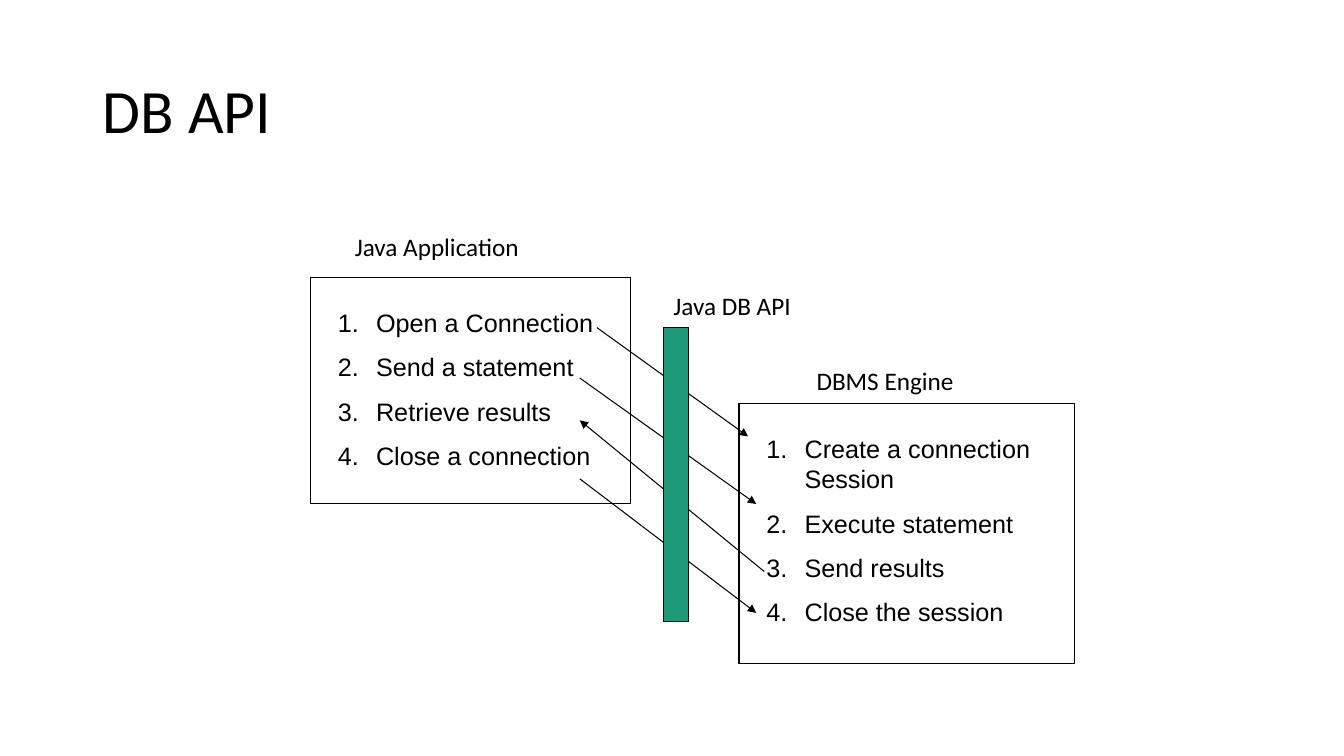
from dataclasses import dataclass

from lxml.etree import SubElement
from pptx import Presentation
from pptx.dml.color import RGBColor
from pptx.enum.shapes import MSO_CONNECTOR, MSO_SHAPE
from pptx.enum.text import MSO_ANCHOR, MSO_AUTO_SIZE, PP_ALIGN
from pptx.oxml.ns import qn
from pptx.util import Inches, Pt

BLACK = "000000"
WHITE = "FFFFFF"
GREEN = "1D9A78"
LINE_WIDTH = Pt(0.75)


@dataclass
class Area:
    left: float
    top: float
    width: float
    height: float

    def lengths(self) -> list:
        return [Inches(value) for value in (self.left, self.top, self.width, self.height)]


@dataclass
class StepPanel:
    box: Area
    text: Area
    steps: list[str]


@dataclass
class Label:
    text: str
    area: Area


@dataclass
class Arrow:
    start: tuple[float, float]
    end: tuple[float, float]


PANELS = [
    StepPanel(
        Area(3.08, 2.75, 3.17, 2.25),
        Area(3.25, 3, 2.75, 1.76),
        ["Open a Connection", "Send a statement", "Retrieve results", "Close a connection"],
    ),
    StepPanel(
        Area(7.33, 4, 3.33, 2.58),
        Area(7.5, 4.25, 2.83, 2.06),
        ["Create a connection Session", "Execute statement", "Send results", "Close the session"],
    ),
]
ARROWS = [
    Arrow((5.92, 3.25), (7.42, 4.33)),
    Arrow((5.75, 3.75), (7.5, 5)),
    Arrow((7.58, 5.67), (5.75, 4.17)),
    Arrow((5.75, 4.75), (7.5, 6.08)),
]
LABELS = [
    Label("Java Application", Area(3.42, 2.25, 2.42, 0.4)),
    Label("DBMS Engine", Area(8, 3.58, 1.58, 0.4)),
    Label("Java DB API", Area(6.58, 2.83, 1.75, 0.4)),
]
API_BAR = Area(6.58, 3.25, 0.25, 2.92)


def color(value: str) -> RGBColor:
    return RGBColor.from_string(value)


def place(shape, area: Area) -> None:
    shape.left, shape.top, shape.width, shape.height = area.lengths()


def format_paragraph(paragraph, font_name: str, size: float) -> None:
    paragraph.alignment = PP_ALIGN.LEFT
    paragraph.space_before = Pt(0)
    paragraph.font.name = font_name
    paragraph.font.size = Pt(size)
    paragraph.font.color.rgb = color(BLACK)


def add_box(slide, area: Area, fill: str) -> None:
    shape = slide.shapes.add_shape(MSO_SHAPE.RECTANGLE, *area.lengths())
    shape.shadow.inherit = False
    shape.fill.solid()
    shape.fill.fore_color.rgb = color(fill)
    shape.line.color.rgb = color(BLACK)
    shape.line.width = LINE_WIDTH


def fill_steps(placeholder, panel: StepPanel) -> None:
    place(placeholder, panel.text)
    frame = placeholder.text_frame
    frame.auto_size = MSO_AUTO_SIZE.NONE
    frame.text = "\n".join(panel.steps)
    for paragraph in frame.paragraphs:
        format_paragraph(paragraph, "Arial", 18)
        paragraph.space_after = Pt(10)
        properties = paragraph._p.get_or_add_pPr()
        properties.set("marL", str(Inches(0.38)))
        properties.set("indent", str(Inches(-0.38)))
        # Number in the same font as the step
        SubElement(properties, qn("a:buFont"), typeface="Arial")
        SubElement(properties, qn("a:buAutoNum"), type="arabicPeriod")
        # Default run properties come last in the schema
        properties.append(properties.find(qn("a:defRPr")))


def add_arrow(slide, arrow: Arrow) -> None:
    ends = [Inches(value) for value in (*arrow.start, *arrow.end)]
    connector = slide.shapes.add_connector(MSO_CONNECTOR.STRAIGHT, *ends)
    connector.line.color.rgb = color(BLACK)
    connector.line.width = LINE_WIDTH
    SubElement(connector.line._get_or_add_ln(), qn("a:tailEnd"), type="triangle")
    SubElement(connector._element.spPr, qn("a:effectLst"))


def add_label(slide, label: Label) -> None:
    frame = slide.shapes.add_textbox(*label.area.lengths()).text_frame
    frame.word_wrap = True
    frame.text = label.text
    format_paragraph(frame.paragraphs[0], "Calibri", 18)


def main() -> None:
    presentation = Presentation()
    presentation.slide_width = Inches(13.33)
    presentation.slide_height = Inches(7.5)
    slide = presentation.slides.add_slide(presentation.slide_layouts.get_by_name("Two Content"))

    # Title
    title = slide.shapes.title
    place(title, Area(0.92, 0.4, 11.5, 1.45))
    title.text_frame.text = "DB API"
    title.text_frame.vertical_anchor = MSO_ANCHOR.MIDDLE
    title_paragraph = title.text_frame.paragraphs[0]
    format_paragraph(title_paragraph, "Calibri", 44)
    title_paragraph.line_spacing = 0.9

    # Panels, with each list brought in front of its box
    for panel, placeholder in zip(PANELS, list(slide.placeholders)[1:]):
        add_box(slide, panel.box, WHITE)
        fill_steps(placeholder, panel)
        slide.shapes._spTree.append(placeholder._element)

    # Calls passing behind the API bar
    for arrow in ARROWS:
        add_arrow(slide, arrow)
    add_box(slide, API_BAR, GREEN)

    # Labels
    for label in LABELS:
        add_label(slide, label)

    presentation.save("out.pptx")


if __name__ == "__main__":
    main()
